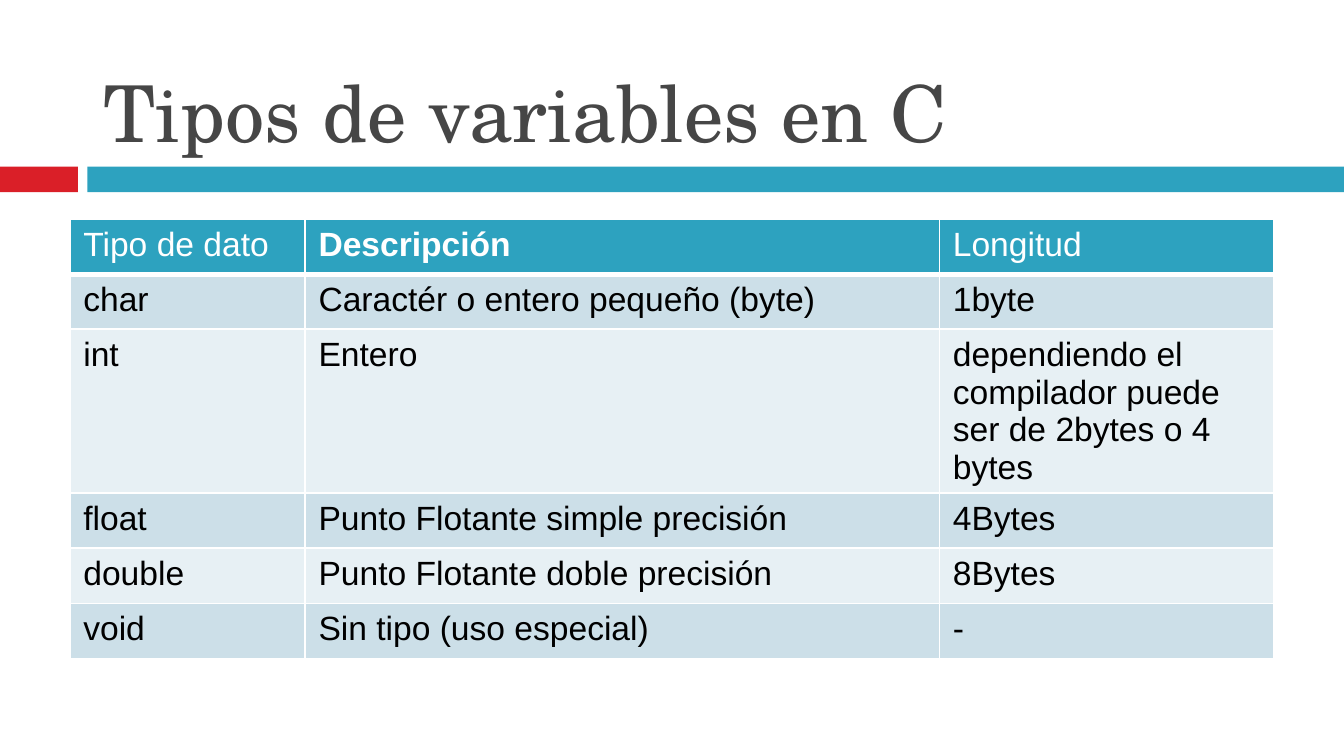
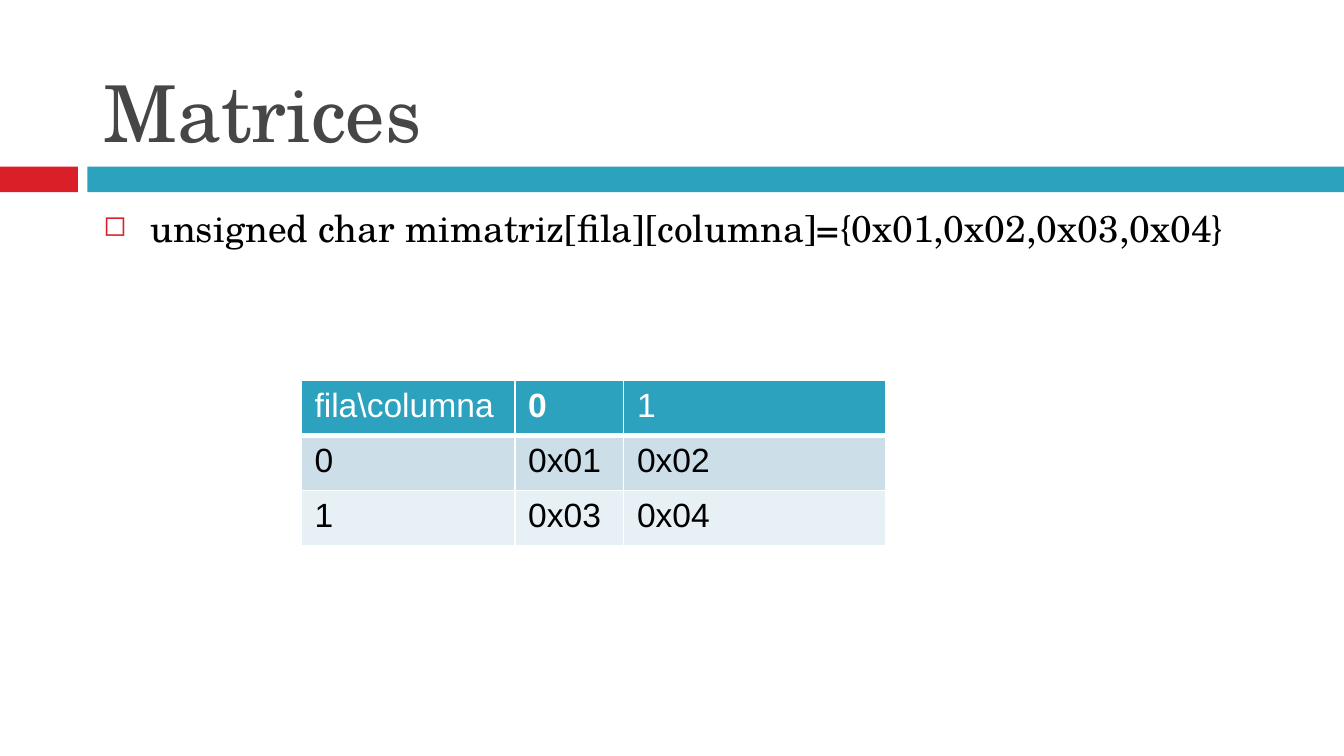
from lxml.etree import SubElement
from pptx import Presentation
from pptx.dml.color import RGBColor
from pptx.enum.shapes import MSO_SHAPE as Shape
from pptx.enum.text import MSO_ANCHOR as Anchor, MSO_AUTO_SIZE as AutoSize, PP_ALIGN as Align
from pptx.oxml.ns import qn
from pptx.util import Inches, Pt

# Content
TYPES = {
    "title": "Tipos de variables en C",
    "at": (0.52, 1.63),
    "widths": (1.75, 4.72, 2.49),
    "rows": [
        ("Tipo de dato", "Descripción", "Longitud"),
        ("char", "Caractér o entero pequeño (byte)", "1byte"),
        ("int", "Entero", "dependiendo el compilador puede ser de 2bytes o 4 bytes"),
        ("float", "Punto Flotante simple precisión", "4Bytes"),
        ("double", "Punto Flotante doble precisión", "8Bytes"),
        ("void", "Sin tipo (uso especial)", "-"),
    ],
}
MATRICES = {
    "title": "Matrices",
    "declaration": "unsigned char mimatriz[fila][columna]={0x01,0x02,0x03,0x04}",
    "at": (2.24, 2.83),
    "widths": (1.59, 0.81, 1.95),
    "rows": [
        ("fila\\columna", "0", "1"),
        ("0", "0x01", "0x02"),
        ("1", "0x03", "0x04"),
    ],
}

# Shared look
SLIDE_WIDTH = Inches(10)
SLIDE_HEIGHT = SLIDE_WIDTH * 9 // 16
RED, TEAL, WHITE, BLACK, GREY = "DA1F28", "2DA2BF", "FFFFFF", "000000", "464646"
STRIPES = ("CCDFE8", "E7F0F4")
SERIF, SANS = "TeX Gyre Schola", "Arial"
BANDS = [((0, 1.24, 0.58, 0.19), RED), ((0.65, 1.24, 9.35, 0.19), TEAL)]
TITLE_BOX = (0.67, 0.13, 8.92, 1.1)
DECLARATION_BOX = (0.67, 1.48, 8.59, 3.57)
ROW_HEIGHT = 0.41
INDENT = 0.35
FRAME = {"word_wrap": True, "auto_size": AutoSize.NONE}
TITLE_FONT = {"name": SERIF, "size": Pt(42), "bold": False}
BODY_FONT = {"name": SERIF, "size": Pt(20)}
CELL_FONT = {"name": SANS, "size": Pt(18)}


def rgb(color):
    return RGBColor.from_string(color)


def apply(target, values):
    for name, value in values.items():
        setattr(target, name, value)


def paint(part, color):
    part.fill.solid()
    part.fill.fore_color.rgb = rgb(color)


def write(frame, text, font, color):
    paragraph = frame.paragraphs[0]
    paragraph.alignment = Align.LEFT
    run = paragraph.add_run()
    run.text = text
    apply(run.font, font)
    run.font.color.rgb = rgb(color)
    return paragraph


def add_color(parent, color):
    SubElement(parent, qn("a:srgbClr"), val=color)


def add_titled_slide(deck, text):
    slide = deck.slides.add_slide(deck.slide_layouts[5])
    for box, color in BANDS:
        band = slide.shapes.add_shape(Shape.RECTANGLE, *map(Inches, box))
        band.shadow.inherit = False
        paint(band, color)
        band.line.fill.background()
    title = slide.shapes.title
    apply(title, dict(zip(("left", "top", "width", "height"), map(Inches, TITLE_BOX))))
    apply(title.text_frame, {**FRAME, "vertical_anchor": Anchor.BOTTOM})
    write(title.text_frame, text, TITLE_FONT, GREY)
    return slide


def add_bullet(paragraph):
    props = paragraph._p.get_or_add_pPr()
    props.set("marL", str(Inches(INDENT)))
    props.set("indent", str(-Inches(INDENT)))
    add_color(SubElement(props, qn("a:buClr")), RED)
    SubElement(props, qn("a:buSzPct"), val="76000")
    SubElement(props, qn("a:buChar"), char="◻")


def set_borders(cell, is_header, below_header):
    props = cell._tc.get_or_add_tcPr()
    widths = {"L": 1, "R": 1, "T": 3 if below_header else 1, "B": 3 if is_header else 1}
    for side, width in widths.items():
        line = SubElement(props, qn(f"a:ln{side}"), w=str(Pt(width)))
        add_color(SubElement(line, qn("a:solidFill")), WHITE)


def add_grid(slide, content):
    rows, widths = content["rows"], content["widths"]
    left, top = content["at"]
    box = (left, top, sum(widths), ROW_HEIGHT * len(rows))
    table = slide.shapes.add_table(len(rows), len(widths), *map(Inches, box)).table
    for column, width in zip(table.columns, widths):
        column.width = Inches(width)
    for r, row in enumerate(rows):
        table.rows[r].height = Inches(ROW_HEIGHT)
        is_header = r == 0
        for c, text in enumerate(row):
            cell = table.cell(r, c)
            # Only the middle heading is bold
            font = {**CELL_FONT, "bold": is_header and c == 1}
            write(cell.text_frame, text, font, WHITE if is_header else BLACK)
            set_borders(cell, is_header, r == 1)
            paint(cell, TEAL if is_header else STRIPES[(r - 1) % 2])


def main():
    deck = Presentation()
    deck.slide_width, deck.slide_height = SLIDE_WIDTH, SLIDE_HEIGHT

    # Variable types
    add_grid(add_titled_slide(deck, TYPES["title"]), TYPES)

    # Matrices
    slide = add_titled_slide(deck, MATRICES["title"])
    frame = slide.shapes.add_textbox(*map(Inches, DECLARATION_BOX)).text_frame
    apply(frame, FRAME)
    add_bullet(write(frame, MATRICES["declaration"], BODY_FONT, BLACK))
    add_grid(slide, MATRICES)

    deck.save("out.pptx")


if __name__ == "__main__":
    main()
